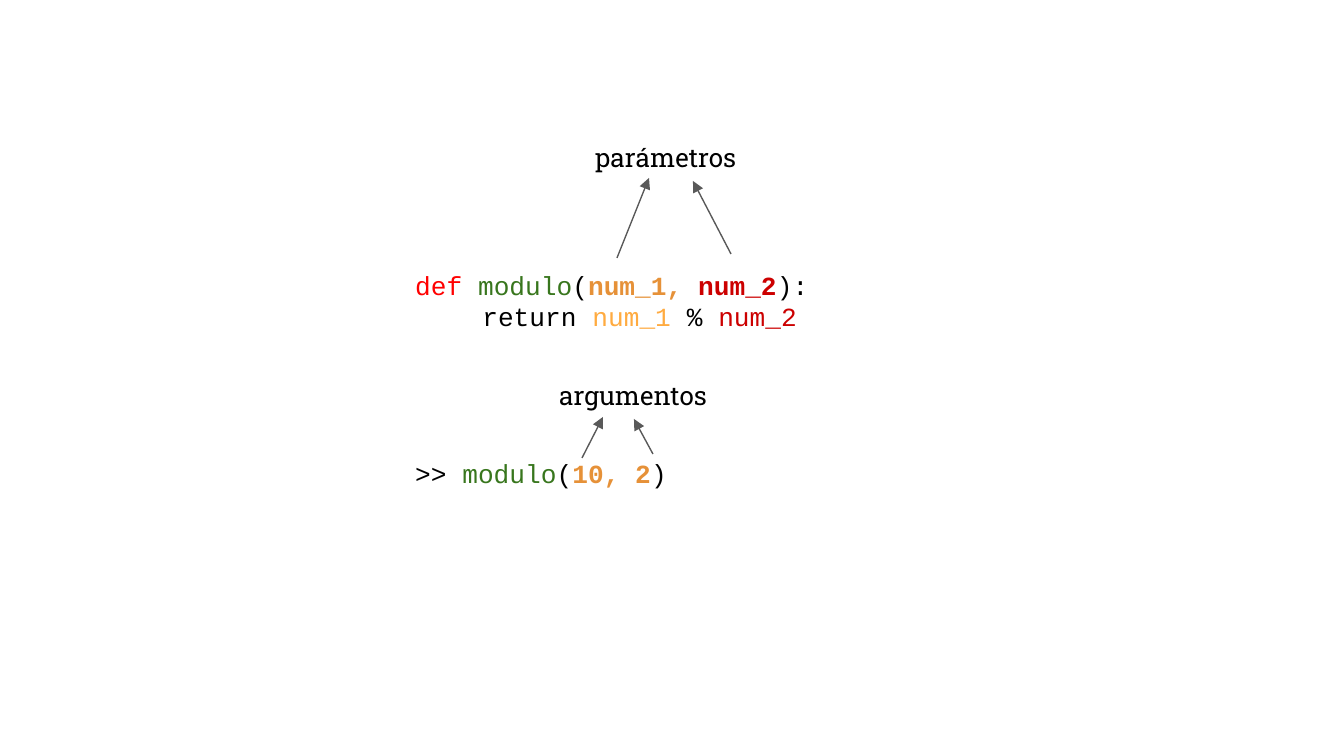
from lxml import etree
from pptx import Presentation
from pptx import util as u
from pptx.dml.color import RGBColor
from pptx.enum import shapes, text
from pptx.oxml import ns

SCALE = 914400 / 134.4
BLACK, GREEN, ORANGE, RED = "000000", "38761D", "E69138", "CC0000"
CODE_FONT, LABEL_FONT = "Courier New", "Roboto Slab"

DEFINITION = [
    ("def ", "FF0000", False),
    ("modulo", GREEN, False),
    ("(", BLACK, False),
    ("num_1, ", ORANGE, True),
    ("num_2", RED, True),
    ("):", BLACK, False),
]
BODY = [
    ("\treturn ", BLACK, False),
    ("num_1", "FFAB40", False),
    (" % ", BLACK, False),
    ("num_2", RED, False),
]
CALL = [
    (">> ", BLACK, False),
    ("modulo", GREEN, False),
    ("(", BLACK, False),
    ("10, 2", ORANGE, True),
    (")", BLACK, False),
]
LABELS = [("parámetros", 582, 128), ("argumentos", 546, 366)]
ARROWS = [
    (617, 258, 649, 178),
    (731, 254, 693, 181),
    (582, 458, 603, 417),
    (653, 454, 634, 419),
]


def px(length):
    return u.Emu(round(length * SCALE))


def color(value):
    return RGBColor.from_string(value)


def add_box(page, left, top, width, height):
    box = page.shapes.add_textbox(px(left), px(top), px(width), px(height))
    frame = box.text_frame
    frame.word_wrap = True
    frame.vertical_anchor = text.MSO_ANCHOR.TOP
    frame.margin_left = frame.margin_right = u.Inches(0.1)
    frame.margin_top = frame.margin_bottom = u.Inches(0.1)
    return frame


def style(span, font, value, bold=False):
    span.font.name = font
    span.font.size = u.Pt(14)
    span.font.bold = bold
    span.font.color.rgb = color(value)


def add_code(page, lines):
    frame = add_box(page, 402, 255, 539, 281)
    frame.text = "\n".join("" for line in lines)
    for para, (spans, gap) in zip(frame.paragraphs, lines):
        para.line_spacing = u.Pt(17.1)
        para.space_before = u.Pt(gap)
        for words, value, bold in spans:
            span = para.add_run()
            span.text = words
            style(span, CODE_FONT, value, bold)


def add_label(page, words, left, top):
    frame = add_box(page, left, top, 196, 59)
    frame.text = words
    style(frame.paragraphs[0].runs[0], LABEL_FONT, BLACK)


def add_arrow(page, *ends):
    arrow = page.shapes.add_connector(shapes.MSO_CONNECTOR.STRAIGHT, *map(px, ends))
    arrow.line.color.rgb = color("595959")
    arrow.line.width = u.Pt(0.75)
    line = arrow.line._get_or_add_ln()
    etree.SubElement(line, ns.qn("a:tailEnd"), type="triangle", w="med", len="med")
    etree.SubElement(arrow._element.spPr, ns.qn("a:effectLst"))


def main():
    deck = Presentation()
    deck.slide_width, deck.slide_height = px(1344), px(756)
    page = deck.slides.add_slide(deck.slide_layouts[6])
    add_code(page, [(DEFINITION, 0), (BODY, 0), (CALL, 66.5)])
    for ends in ARROWS:
        add_arrow(page, *ends)
    for label in LABELS:
        add_label(page, *label)
    deck.save("out.pptx")


if __name__ == "__main__":
    main()
